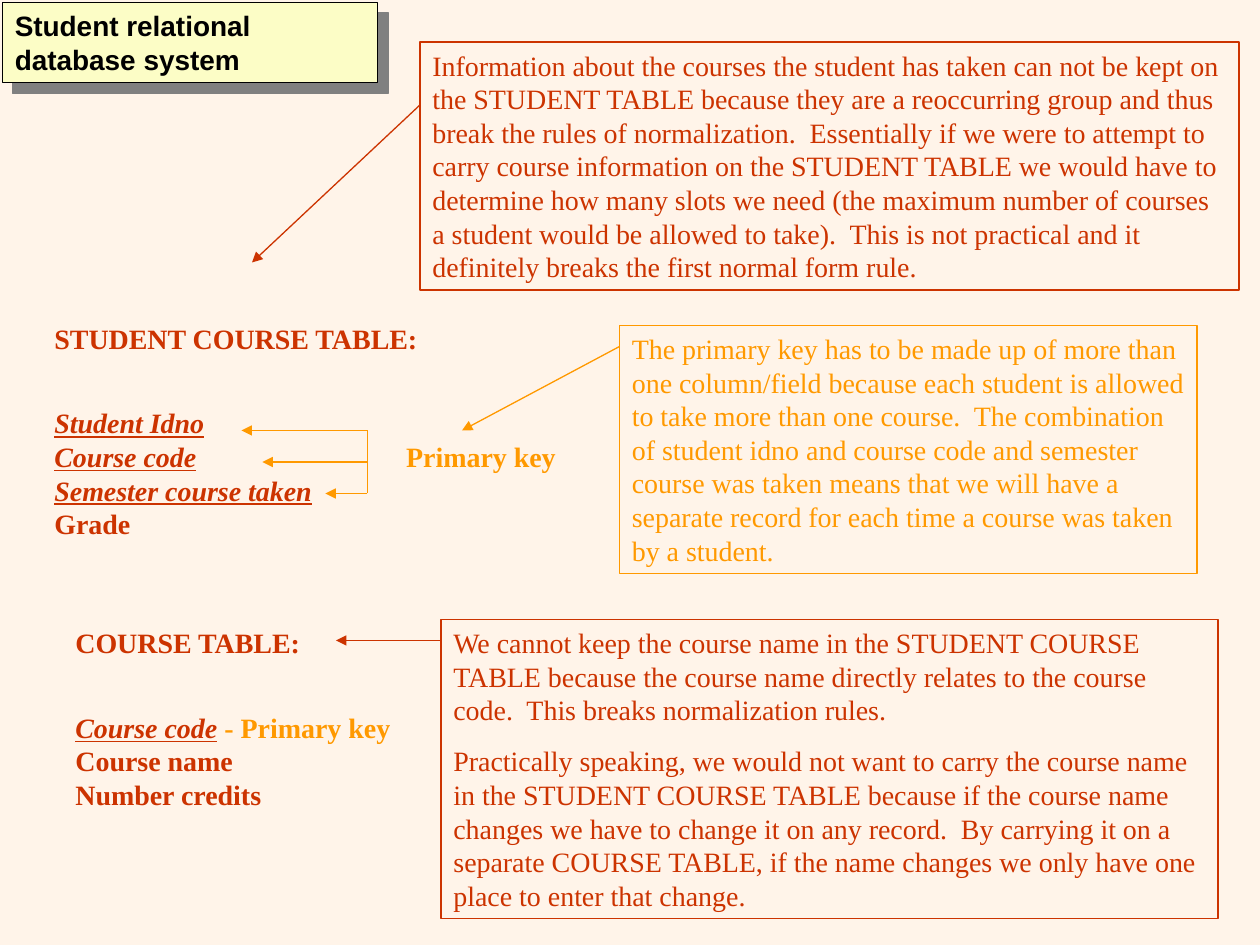
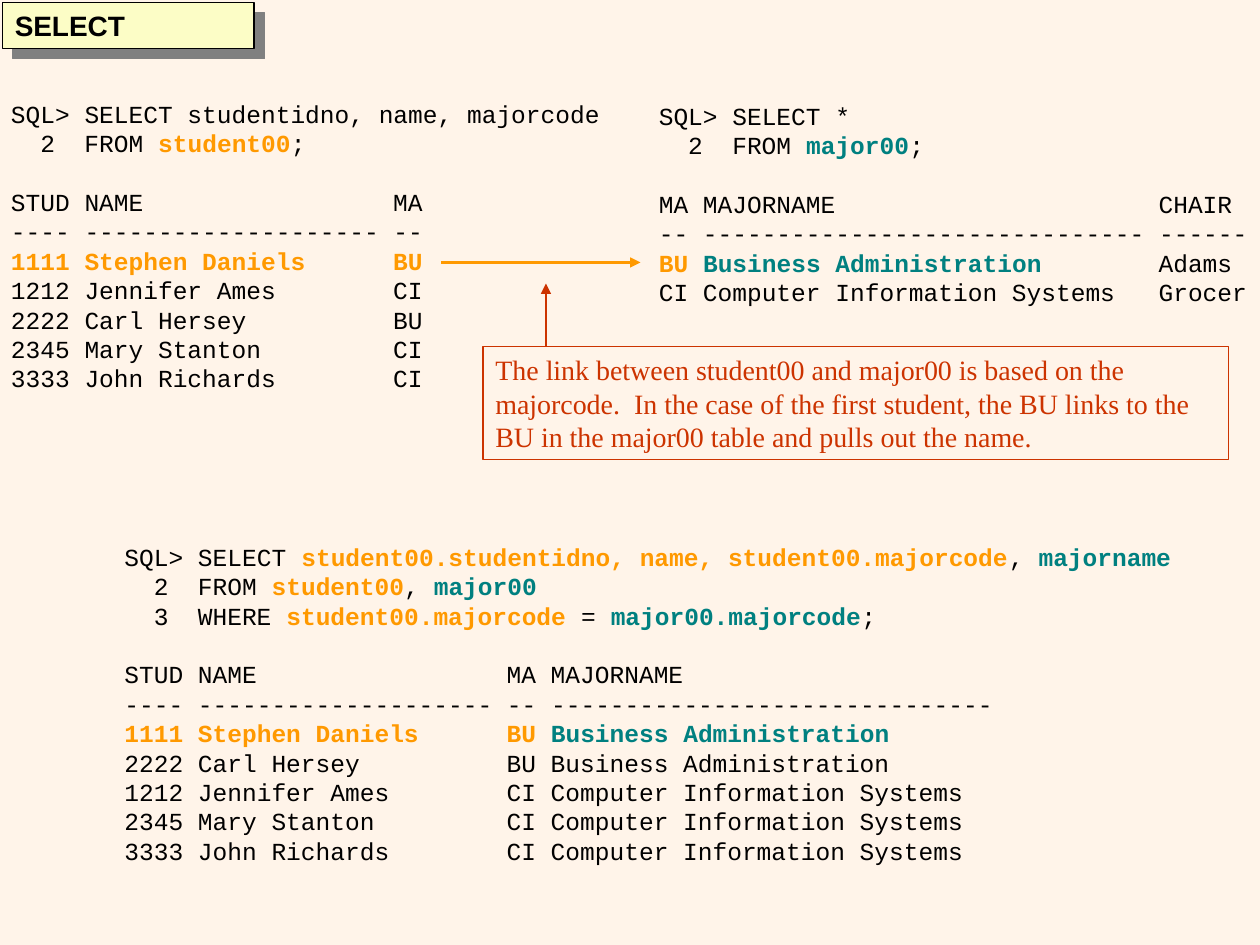
import pptx
import pptx.util
import pptx.dml.color
import pptx.enum.shapes
import pptx.enum.text
import pptx.oxml
import pptx.oxml.ns
from lxml import etree

Pt = pptx.util.Pt
RGBColor = pptx.dml.color.RGBColor

CREAM = RGBColor(0xFF, 0xF4, 0xE9)
YELLOW = RGBColor(0xFC, 0xFD, 0xC6)
BLACK = RGBColor(0, 0, 0)
RED = RGBColor(0xCC, 0x33, 0x00)
ORANGE = RGBColor(0xFF, 0x99, 0x00)
TEAL = RGBColor(0x00, 0x80, 0x80)

LINE_SPACING = 1.2  # line pitch per point of text size
CHAR = 8.4          # width of one 14 pt Courier New character

# Run styles: colour, bold, italic and underlined
STYLES = {
    "red": (RED, False, False),
    "orange": (ORANGE, False, False),
    "code": (BLACK, False, False),
    "title": (BLACK, True, False),
    "field": (RED, True, False),
    "key": (RED, True, True),
    "student": (ORANGE, True, False),
    "major": (TEAL, True, False),
}


def fill_text(tf, paras, style, font="Times New Roman", size=16, tabs=()):
    """Each paragraph is (space before, run, ...); a run is text or (text, style)."""
    tf.word_wrap = True
    tf.auto_size = pptx.enum.text.MSO_AUTO_SIZE.NONE
    tf.vertical_anchor = pptx.enum.text.MSO_ANCHOR.TOP
    for i, (before, *runs) in enumerate(paras):
        p = tf.paragraphs[0] if i == 0 else tf.add_paragraph()
        p.alignment = pptx.enum.text.PP_ALIGN.LEFT
        p.line_spacing = Pt(size * LINE_SPACING)
        p.space_before = Pt(before)
        if tabs:
            tab_list = etree.SubElement(p._p.get_or_add_pPr(), pptx.oxml.ns.qn("a:tabLst"))
            for pos in tabs:
                etree.SubElement(tab_list, pptx.oxml.ns.qn("a:tab"),
                                 pos=str(int(Pt(pos))), algn="l")
        for run in runs:
            text, name = (run, style) if isinstance(run, str) else run
            r = p.add_run()
            r.text = text
            r.font.name, r.font.size = font, Pt(size)
            r.font.color.rgb, r.font.bold, slanted = STYLES[name]
            r.font.italic = r.font.underline = slanted


def add_line(s, points, color, width=0.75, arrow=True):
    c = s.shapes.add_connector(pptx.enum.shapes.MSO_CONNECTOR.STRAIGHT,
                               *[Pt(v) for v in points])
    c.line.color.rgb = color
    c.line.width = Pt(width)
    if arrow:
        etree.SubElement(c.line._get_or_add_ln(), pptx.oxml.ns.qn("a:tailEnd"), type="triangle")
    etree.SubElement(c._element.spPr, pptx.oxml.ns.qn("a:effectLst"))


prs = pptx.Presentation()
prs.slide_width, prs.slide_height = Pt(720), Pt(540)
bg = prs.slide_master.background.fill
bg.solid()
bg.fore_color.rgb = CREAM

# Titles: yellow boxes with a hard grey shadow
slides = []
for title, width, height in [("Student relational database system", 214.5, 46),
                             ("SELECT", 144, 26.4)]:
    s = prs.slides.add_slide(prs.slide_layouts[5])
    sp = s.shapes.title
    sp.left, sp.top, sp.width, sp.height = Pt(1.25), Pt(1.25), Pt(width), Pt(height)
    sp.fill.solid()
    sp.fill.fore_color.rgb = YELLOW
    sp.line.color.rgb = BLACK
    sp.line.width = Pt(0.75)
    sp.shadow.inherit = False
    effects = sp._element.spPr.find(pptx.oxml.ns.qn("a:effectLst"))
    shadow = etree.SubElement(effects, pptx.oxml.ns.qn("a:outerShdw"), blurRad="0",
                              dist=str(int(Pt(8.5))), dir="2700000", algn="ctr",
                              rotWithShape="0")
    etree.SubElement(shadow, pptx.oxml.ns.qn("a:srgbClr"), val="808080")
    fill_text(sp.text_frame, [(0, title)], "title", "Arial")
    slides.append(s)
tables_slide, select_slide = slides

# Table definitions
GAP = 29.2
for box, paras, tabs in [
    ((24, 180, 420, 132), [
        (0, "STUDENT COURSE TABLE:"),
        (GAP, ("Student Idno", "key")),
        (0, ("Course code", "key"), ("\tPrimary key", "student")),
        (0, ("Semester course taken", "key")),
        (0, "Grade"),
    ], [201]),
    ((36, 354, 306, 113), [
        (0, "COURSE TABLE:"),
        (GAP, ("Course code", "key"), " ", ("- Primary key", "student")),
        (0, "Course name"),
        (0, "Number credits"),
    ], []),
]:
    sp = tables_slide.shapes.add_textbox(*[Pt(v) for v in box])
    fill_text(sp.text_frame, paras, "field", tabs=tabs)

# SQL sessions
for box, columns, paras in [
    ((64, 306, 616, 192), [2, 5, 26], [
        (0, "SQL> SELECT ", ("student00.studentidno, name, student00.majorcode", "student"),
         ", ", ("majorname", "major")),
        (0, "\t2\tFROM ", ("student00", "student"), ", ", ("major00", "major")),
        (0, "\t3\tWHERE ", ("student00.majorcode", "student"), " = ",
         ("major00.majorcode", "major"), ";"),
        (16.8, "STUD NAME\tMA MAJORNAME"),
        (0, " ".join("-" * n for n in (4, 20, 2, 30))),
        (0, ("1111 Stephen Daniels\tBU ", "student"), ("Business Administration", "major")),
        (0, "2222 Carl Hersey\tBU Business Administration"),
        (0, "1212 Jennifer Ames\tCI Computer Information Systems"),
        (0, "2345 Mary Stanton\tCI Computer Information Systems"),
        (0, "3333 John Richards\tCI Computer Information Systems"),
    ]),
    ((369.4, 54, 354, 125), [2, 5, 34], [
        (0, "SQL> SELECT *"),
        (0, "\t2\tFROM ", ("major00", "major"), ";"),
        (16.8, "MA MAJORNAME\tCHAIR"),
        (0, " ".join("-" * n for n in (2, 30, 6))),
        (0, ("BU ", "student"), ("Business Administration", "major"), "\tAdams"),
        (0, "CI Computer Information Systems\tGrocer"),
    ]),
    ((-0.8, 52.8, 354, 176), [2, 5, 26], [
        (0, "SQL> SELECT studentidno, name, majorcode"),
        (0, "\t2\tFROM ", ("student00", "student"), ";"),
        (16.8, "STUD NAME\tMA"),
        (0, " ".join("-" * n for n in (4, 20, 2))),
        (0, ("1111 Stephen Daniels\tBU", "student")),
        (0, "1212 Jennifer Ames\tCI"),
        (0, "2222 Carl Hersey\tBU"),
        (0, "2345 Mary Stanton\tCI"),
        (0, "3333 John Richards\tCI"),
    ]),
]:
    sp = select_slide.shapes.add_textbox(*[Pt(v) for v in box])
    fill_text(sp.text_frame, paras, "code", "Courier New", 14, [n * CHAR for n in columns])

# Outlined notes
for s, box, style, texts in [
    (tables_slide, (240, 24, 468, 141.8), "red", [
        "Information about the courses the student has taken can not be kept on the STUDENT "
        "TABLE because they are a reoccurring group and thus break the rules of normalization.  "
        "Essentially if we were to attempt to carry course information on the STUDENT TABLE we "
        "would have to determine how many slots we need (the maximum number of courses a student "
        "would be allowed to take).  This is not practical and it definitely breaks the first "
        "normal form rule."]),
    (tables_slide, (354, 186, 330, 141.8), "orange", [
        "The primary key has to be made up of more than one column/field because each student is "
        "allowed to take more than one course.  The combination of student idno and course code "
        "and semester course was taken means that we will have a separate record for each time a "
        "course was taken by a student."]),
    (tables_slide, (252, 354, 444, 170.8), "red", [
        "We cannot keep the course name in the STUDENT COURSE TABLE because the course name "
        "directly relates to the course code.  This breaks normalization rules.",
        "Practically speaking, we would not want to carry the course name in the STUDENT COURSE "
        "TABLE because if the course name changes we have to change it on any record.  By "
        "carrying it on a separate COURSE TABLE, if the name changes we only have one place to "
        "enter that change."]),
    (select_slide, (276, 198, 426, 64.8), "red", [
        "The link between student00 and major00 is based on the majorcode.  In the case of the "
        "first student, the BU links to the BU in the major00 table and pulls out the name."]),
]:
    sp = s.shapes.add_shape(pptx.enum.shapes.MSO_SHAPE.RECTANGLE, *[Pt(v) for v in box])
    sp.shadow.inherit = False
    sp.fill.background()
    sp.line.color.rgb = STYLES[style][0]
    sp.line.width = Pt(0.75)
    fill_text(sp.text_frame, [(10 if i else 0, t) for i, t in enumerate(texts)], style)

# Bracket joining the three primary key fields
add_line(tables_slide, (210, 246, 210, 282), ORANGE, arrow=False)
for x, y in [(138, 246), (150, 264), (186, 282)]:
    add_line(tables_slide, (210, y, x, y), ORANGE)

# Arrows from the notes, and the link between the tables
add_line(tables_slide, (354, 198, 264, 246), ORANGE)
add_line(tables_slide, (252, 366, 192, 366), RED)
add_line(tables_slide, (240, 60, 144, 150), RED)
add_line(select_slide, (252, 150, 366, 150), ORANGE, 1.5)
add_line(select_slide, (312, 198, 312, 162), RED)

prs.save("out.pptx")
